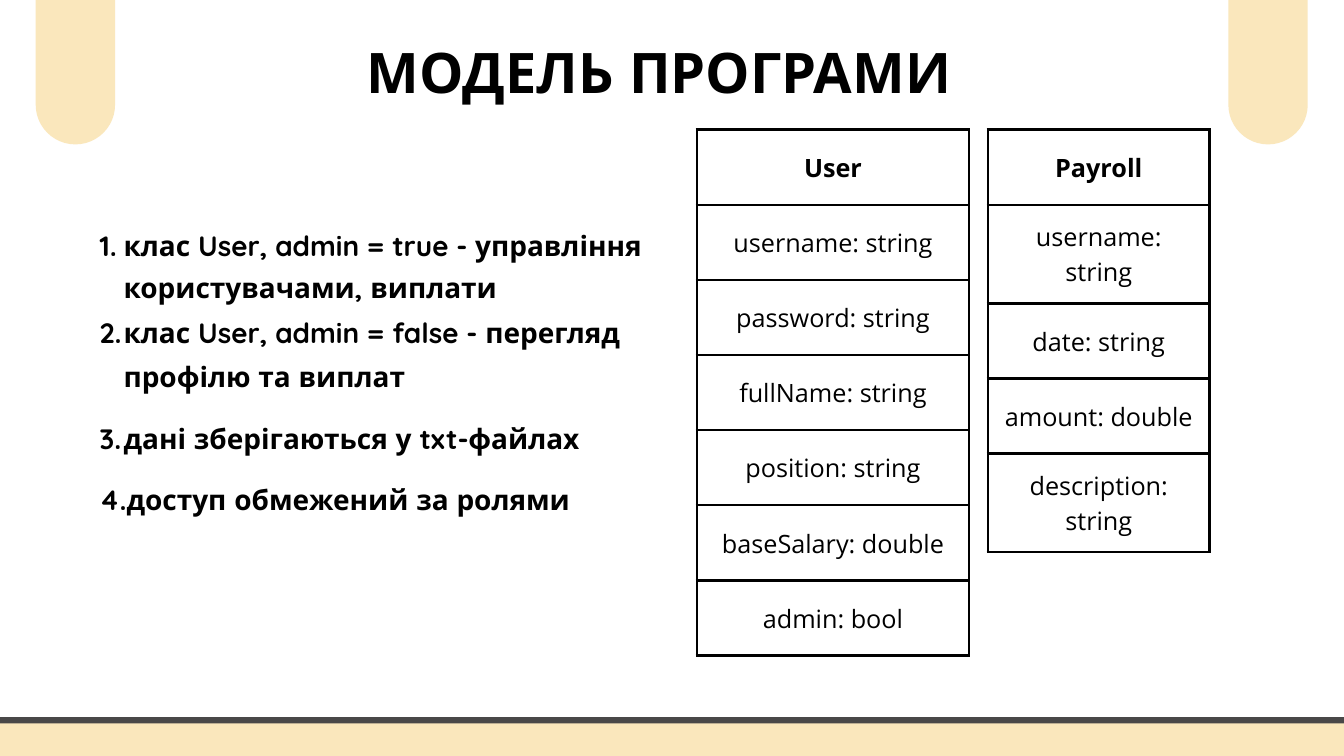
"""Build the program model slide with its two class tables."""
from dataclasses import dataclass
from typing import Any

from lxml import etree
from pptx import Presentation
from pptx import util as u
from pptx.dml.color import RGBColor
from pptx.enum import shapes, text
from pptx.oxml.ns import qn

COLORS = {"cream": "FAE7BC", "grey": "494848", "black": "000000"}
ROW_HEIGHT = 2.84
TABLE_TOP = 4.9
CELL_MARGIN = 0.53


@dataclass(frozen=True)
class Box:
    left: float
    top: float
    width: float
    height: float

    def lengths(self) -> list[u.Length]:
        return [u.Cm(value) for value in (self.left, self.top, self.width, self.height)]


@dataclass(frozen=True)
class Decoration:
    box: Box
    rounding: float
    outline: float = 0


@dataclass(frozen=True)
class ClassTable:
    name: str
    fields: tuple[str, ...]
    left: float
    width: float


@dataclass(frozen=True)
class ListItem:
    wording: str
    line_spacing: float


DECORATIONS = [
    Decoration(Box(46.43, -2.74, 3, 8.2), 0.5),
    Decoration(Box(-1.47, 27.23, 53.75, 2.29), 0.1, 6.75),
    Decoration(Box(1.35, -2.74, 3, 8.2), 0.5),
]
TABLES = [
    ClassTable(
        "User",
        ("username: string", "password: string", "fullName: string",
         "position: string", "baseSalary: double", "admin: bool"),
        26.34, 10.29,
    ),
    ClassTable(
        "Payroll",
        ("username: string", "date: string", "amount: double", "description: string"),
        37.34, 8.38,
    ),
]
TITLE = "МОДЕЛЬ ПРОГРАМИ"
TITLE_BOX = Box(2.36, 0.99, 45.09, 2.79)
LIST_BOX = Box(2.87, 8.36, 21.62, 10.59)
ITEMS = [
    ListItem("клас User, admin = true - управління користувачами, виплати", 44.4),
    ListItem("клас User, admin = false - перегляд профілю та виплат", 48),
    ListItem("дані зберігаються у txt-файлах", 65.7),
    ListItem("доступ обмежений за ролями", 65.7),
]
FRAME_FORMAT = {
    "margin_left": 0, "margin_top": 0, "margin_right": 0, "margin_bottom": 0,
    "word_wrap": True, "auto_size": text.MSO_AUTO_SIZE.NONE,
    "vertical_anchor": text.MSO_ANCHOR.TOP,
}
CELL_FORMAT = {
    **{f"margin_{side}": u.Cm(CELL_MARGIN) for side in ("left", "top", "right", "bottom")},
    "vertical_anchor": text.MSO_ANCHOR.MIDDLE,
}


def rgb(name: str) -> RGBColor:
    return RGBColor.from_string(COLORS[name])


def apply_format(target: Any, values: dict[str, Any]) -> None:
    for name, value in values.items():
        setattr(target, name, value)


def write(paragraph: Any, wording: str, font: str, size: float, bold: bool,
          alignment: text.PP_ALIGN, line_spacing: float) -> None:
    apply_format(paragraph, {
        "alignment": alignment, "line_spacing": u.Pt(line_spacing),
        "space_before": u.Pt(0), "space_after": u.Pt(0),
    })
    run = paragraph.add_run()
    run.text = wording
    apply_format(run.font, {"name": font, "size": u.Pt(size), "bold": bold})
    run.font.color.rgb = rgb("black")


def place(placeholder: Any, box: Box) -> Any:
    names = ("left", "top", "width", "height")
    apply_format(placeholder, dict(zip(names, box.lengths())))
    apply_format(placeholder.text_frame, FRAME_FORMAT)
    return placeholder.text_frame


def draw_decoration(slide: Any, decoration: Decoration) -> None:
    shape = slide.shapes.add_shape(
        shapes.MSO_SHAPE.ROUNDED_RECTANGLE, *decoration.box.lengths())
    shape.shadow.inherit = False
    shape.adjustments[0] = decoration.rounding
    shape.fill.solid()
    shape.fill.fore_color.rgb = rgb("cream")
    if decoration.outline:
        shape.line.color.rgb = rgb("grey")
        shape.line.width = u.Pt(decoration.outline)
    else:
        shape.line.fill.background()


def add_borders(cell: Any) -> None:
    properties = cell._tc.get_or_add_tcPr()
    for side in ("a:lnL", "a:lnR", "a:lnT", "a:lnB"):
        line = etree.SubElement(properties, qn(side), w=str(u.Pt(3)))
        fill = etree.SubElement(line, qn("a:solidFill"))
        etree.SubElement(fill, qn("a:srgbClr"), val=COLORS["black"])


def draw_table(slide: Any, class_table: ClassTable) -> None:
    rows = (class_table.name, *class_table.fields)
    box = Box(class_table.left, TABLE_TOP, class_table.width, ROW_HEIGHT * len(rows))
    table = slide.shapes.add_table(len(rows), 1, *box.lengths()).table
    apply_format(table, {"first_row": False, "horz_banding": False})
    for index, wording in enumerate(rows):
        table.rows[index].height = u.Cm(ROW_HEIGHT)
        cell = table.cell(index, 0)
        apply_format(cell, CELL_FORMAT)
        add_borders(cell)
        cell.fill.background()
        write(cell.text_frame.paragraphs[0], wording, "Open Sans", 27, index == 0,
              text.PP_ALIGN.CENTER, 37.8)


def fill_list(frame: Any, items: list[ListItem]) -> None:
    for index, item in enumerate(items):
        paragraph = frame.add_paragraph() if index else frame.paragraphs[0]
        write(paragraph, item.wording, "Quicksand", 30, True,
              text.PP_ALIGN.LEFT, item.line_spacing)
        paragraph.level = 1
        properties = paragraph._p.get_or_add_pPr()
        properties.set("marL", str(u.Cm(1.8)))
        properties.set("indent", str(u.Cm(-0.9)))
        etree.SubElement(properties, qn("a:buFont"), typeface="+mj-lt")
        etree.SubElement(properties, qn("a:buAutoNum"), type="arabicPeriod")


def main() -> None:
    presentation = Presentation()
    presentation.slide_width = u.Cm(50.8)
    presentation.slide_height = u.Cm(28.58)
    slide = presentation.slides.add_slide(presentation.slide_layouts[1])
    for decoration in DECORATIONS:
        draw_decoration(slide, decoration)
    for class_table in TABLES:
        draw_table(slide, class_table)
    title_frame = place(slide.shapes.title, TITLE_BOX)
    write(title_frame.paragraphs[0], TITLE, "Quicksand", 59.9, True,
          text.PP_ALIGN.CENTER, 83.9)
    fill_list(place(slide.placeholders[1], LIST_BOX), ITEMS)
    presentation.save("out.pptx")


if __name__ == "__main__":
    main()
